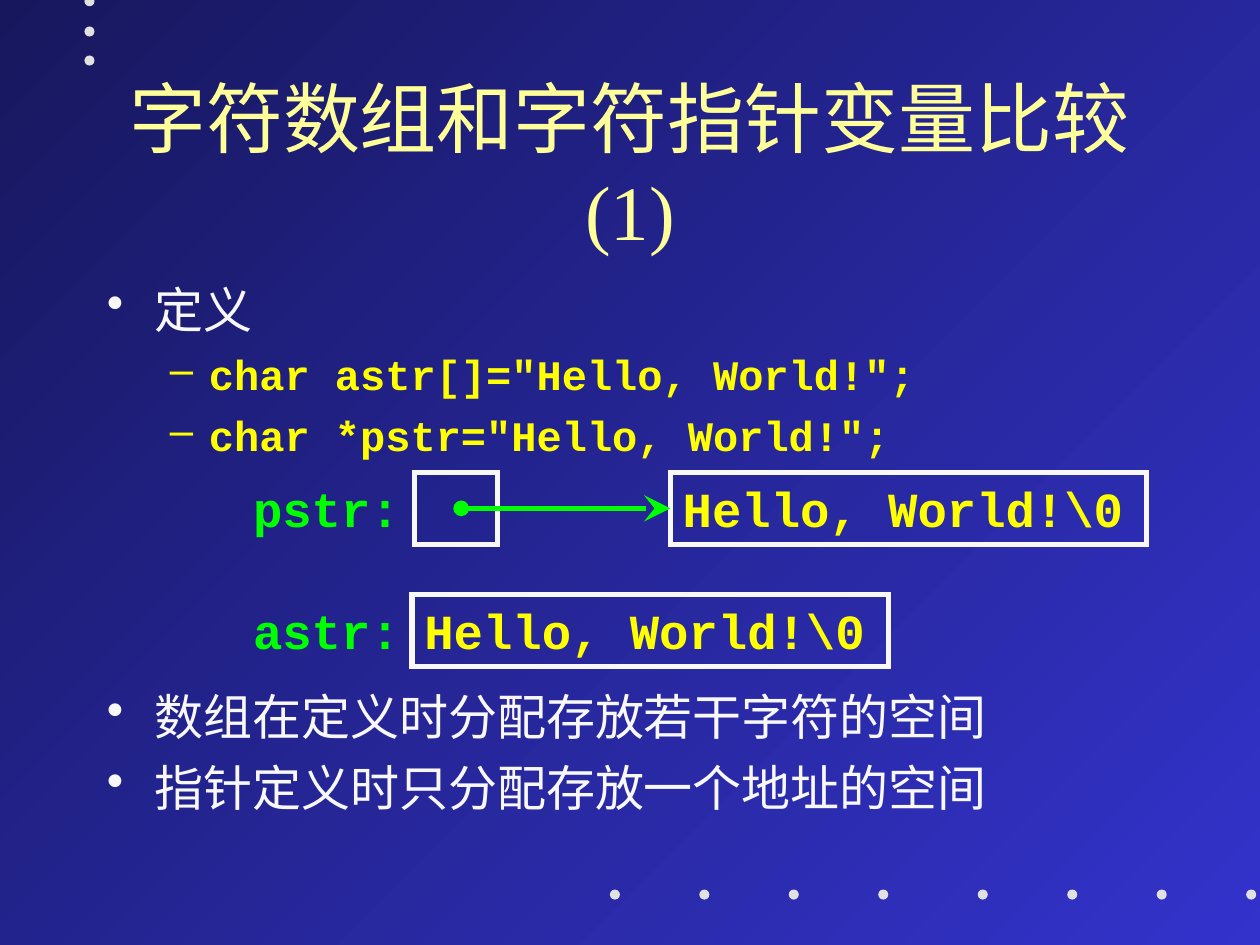
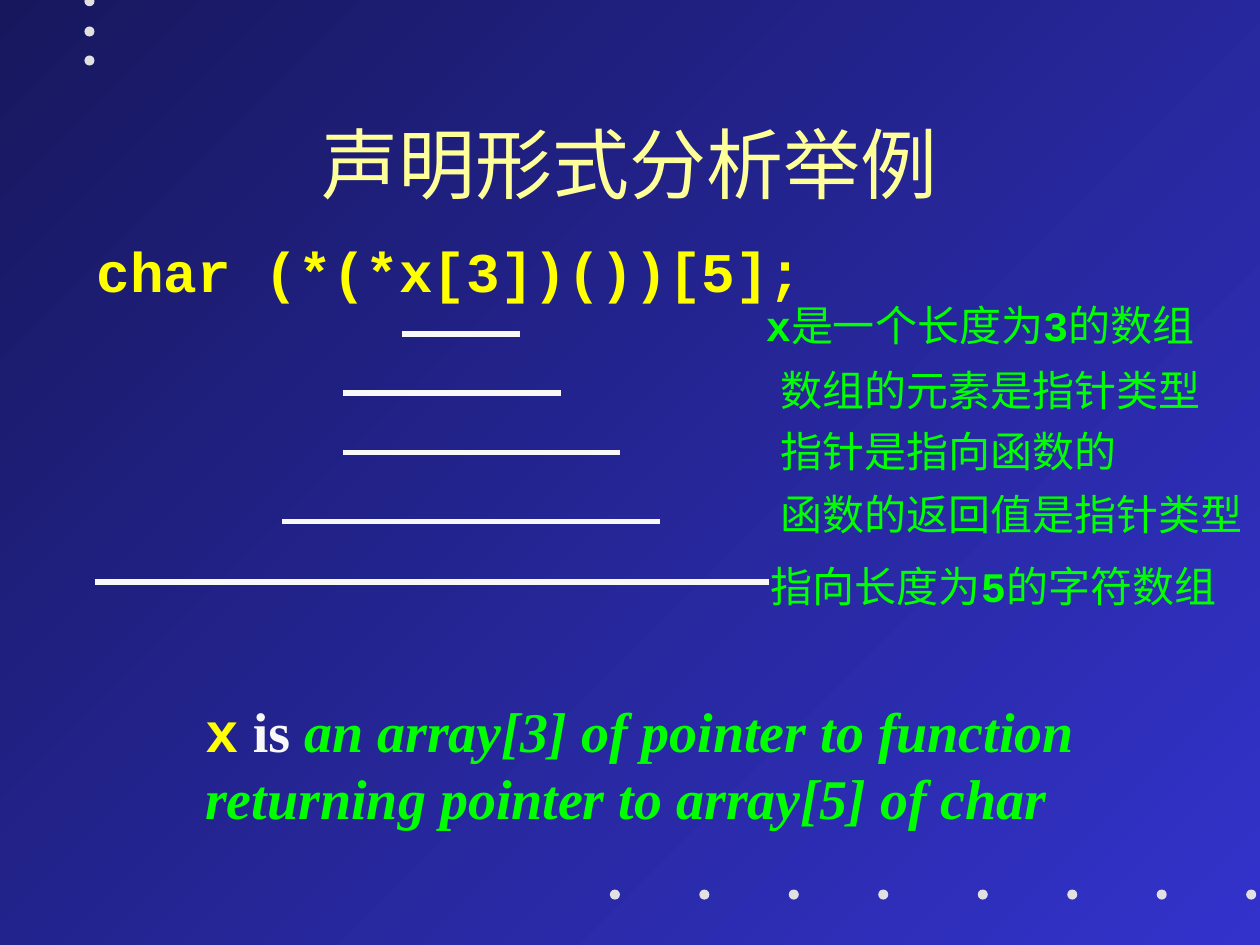
from lxml import etree
from pptx import Presentation
from pptx.dml.color import RGBColor
from pptx.enum.shapes import MSO_CONNECTOR, MSO_SHAPE
from pptx.enum.text import MSO_ANCHOR, MSO_AUTO_SIZE, PP_ALIGN
from pptx.oxml.ns import qn
from pptx.util import Inches, Pt

RECTANGLE, OVAL = MSO_SHAPE.RECTANGLE, MSO_SHAPE.OVAL
STRAIGHT = MSO_CONNECTOR.STRAIGHT
LEFT, CENTER = PP_ALIGN.LEFT, PP_ALIGN.CENTER
TOP, MIDDLE = MSO_ANCHOR.TOP, MSO_ANCHOR.MIDDLE
NO_FIT = MSO_AUTO_SIZE.NONE

BLUE = RGBColor(0x33, 0x33, 0xCC)
NAVY = RGBColor(0x17, 0x17, 0x5E)
GREY = RGBColor(0xE1, 0xE1, 0xE1)
WHITE = RGBColor(0xF8, 0xF8, 0xF8)
CREAM = RGBColor(0xFF, 0xFF, 0x99)
YELLOW = RGBColor(0xFF, 0xFF, 0x00)
GREEN = RGBColor(0x00, 0xFF, 0x00)

SERIF, MONO = "Times New Roman", "Courier New"
TITLE = {"size": Pt(44), "name": SERIF, "color": CREAM}
POINT = {"size": Pt(28), "name": SERIF, "color": WHITE}
CODE = {"size": Pt(24), "name": MONO, "color": YELLOW, "bold": True}
CELL = {**CODE, "size": Pt(28)}
VARIABLE = {**CELL, "color": GREEN}
DECLARATION = {**CODE, "size": Pt(32)}
NOTE = {"size": Pt(24), "name": MONO, "color": GREEN}
NOTE_BOLD = {**NOTE, "bold": True}
READING = {"size": Pt(32), "name": SERIF, "color": WHITE, "bold": True}
READING_GREEN = {**READING, "color": GREEN, "italic": True}

DOT_SIZE = 0.08
DOTS = [(0.67, y) for y in (-0.03, 0.21, 0.44)] + [
    (start + 0.71 * i, 7.06) for start in (4.84, 7.76) for i in range(4)]
ROW_HEIGHT = 0.57


def add_spans(para, spans):
    for text, style in spans:
        span = para.add_run()
        span.text = text
        for key, value in style.items():
            if key == "color":
                span.font.color.rgb = value
            else:
                setattr(span.font, key, value)


def write(frame, paragraphs, **settings):
    """Fill a text frame; each paragraph is a list of (text, style)."""
    for key, value in settings.items():
        setattr(frame, key, value)
    for index, spans in enumerate(paragraphs):
        para = frame.add_paragraph() if index else frame.paragraphs[0]
        para.alignment = LEFT
        add_spans(para, spans)


def add_text(page, box, *paragraphs):
    area = page.shapes.add_textbox(*map(Inches, box))
    write(area.text_frame, paragraphs, word_wrap=True, auto_size=NO_FIT)


def add_frame(page, box, text=""):
    frame = page.shapes.add_shape(RECTANGLE, *map(Inches, box))
    frame.shadow.inherit = False
    frame.fill.background()
    frame.line.color.rgb = WHITE
    frame.line.width = Pt(3)
    etree.SubElement(frame.line._get_or_add_ln(), qn("a:miter"), lim="800000")
    if text:
        write(frame.text_frame, [[(text, CELL)]], vertical_anchor=TOP)
    return frame


def add_line(page, start, end, color, head=None, tail=None):
    """Ends are given as attributes of the arrowhead."""
    line = page.shapes.add_connector(STRAIGHT, *map(Inches, start + end))
    line.line.color.rgb = color
    line.line.width = Pt(3)
    outline = line.line._get_or_add_ln()
    for tag, shape in (("a:headEnd", head), ("a:tailEnd", tail)):
        if shape:
            etree.SubElement(outline, qn(tag), shape)
    etree.SubElement(line._element.spPr, qn("a:effectLst"))
    return line


def set_background(deck):
    fill = deck.slide_master.background.fill
    fill.gradient()
    fill.gradient_angle = 135
    for stop, position, color in zip(fill.gradient_stops, (0, 1), (BLUE, NAVY)):
        stop.position = position
        stop.color.rgb = color


def add_page(deck, title):
    """Title-only page with the shared dots and title style."""
    page = deck.slides.add_slide(deck.slide_layouts[5])
    for x, y in DOTS:
        dot = page.shapes.add_shape(
            OVAL, *map(Inches, (x, y, DOT_SIZE, DOT_SIZE)))
        dot.shadow.inherit = False
        dot.fill.solid()
        dot.fill.fore_color.rgb = GREY
        dot.line.fill.background()
    heading = page.shapes.title
    box = {"left": 0.75, "top": 0.67, "width": 8.5, "height": 1.25}
    for key, value in box.items():
        setattr(heading, key, Inches(value))
    write(heading.text_frame, [[(title, TITLE)]], word_wrap=True,
          auto_size=NO_FIT, vertical_anchor=MIDDLE)
    heading.text_frame.paragraphs[0].alignment = CENTER
    return page


def add_bullets(page, box, items):
    """Items are (text, style, mark, margin, hanging, space before)."""
    area = page.shapes.add_textbox(*map(Inches, box))
    frame = area.text_frame
    write(frame, [[item[:2]] for item in items], word_wrap=True)
    for para, item in zip(frame.paragraphs, items):
        _, style, mark, margin, hanging, space = item
        props = para._p.get_or_add_pPr()
        props.set("marL", str(Inches(margin)))
        props.set("indent", str(-Inches(hanging)))
        color = etree.SubElement(props, qn("a:buClr"))
        etree.SubElement(color, qn("a:srgbClr"), val=str(style["color"]))
        etree.SubElement(props, qn("a:buChar"), char=mark)
        para.space_before = Pt(space)


def add_memory_diagram(page, left, top):
    text = "Hello, World!\\0"
    array_top = top + 0.97
    # Pointer: a cell that points to the text
    target = add_frame(page, (left + 3.41, top, 3.78, ROW_HEIGHT), text)
    add_frame(page, (left + 1.38, top, 0.66, ROW_HEIGHT))
    middle = top + ROW_HEIGHT / 2
    arrow = add_line(page, (left + 1.75, middle), (left + 3.41, middle), GREEN,
                     {"type": "oval"},
                     {"type": "stealth", "w": "lg", "len": "lg"})
    arrow.end_connect(target, 1)
    # Array: the text itself
    add_frame(page, (left + 1.36, array_top, 3.78, ROW_HEIGHT), text)
    for name, y in (("pstr:", top), ("astr:", array_top)):
        add_text(page, (left, y, 1.45, ROW_HEIGHT), [(name, VARIABLE)])


def build_comparison(deck):
    page = add_page(deck, "字符数组和字符指针变量比较 (1)")
    point, code = ("•", 0.38, 0.38), ("–", 0.81, 0.31)
    add_bullets(page, (0.75, 2.17, 8.5, 4.5), [
        ("定义", POINT, *point, 0),
        ('char astr[]="Hello, World!";', CODE, *code, 6),
        ('char *pstr="Hello, World!";', CODE, *code, 6),
        ("数组在定义时分配存放若干字符的空间", POINT, *point, 129),
        ("指针定义时只分配存放一个地址的空间", POINT, *point, 7),
    ])
    add_memory_diagram(page, 1.91, 3.75)


def add_steps(page, left, top):
    """Underline each part of the declaration and explain it."""
    note_width = 3.9
    # Line start, line end, line y, note x, note y, note
    steps = [
        (2.44, 3.38, 0.32, 5.23, 0,
         [("x", NOTE_BOLD), ("是一个长度为", NOTE), ("3", NOTE_BOLD),
          ("的数组", NOTE)]),
        (1.97, 3.7, 0.79, 5.35, 0.51, [("数组的元素是指针类型", NOTE)]),
        (1.97, 4.17, 1.26, 5.35, 1, [("指针是指向函数的", NOTE)]),
        (1.49, 4.49, 1.81, 5.35, 1.5, [("函数的返回值是指针类型", NOTE)]),
        (0, 5.35, 2.29, 5.27, 2.07,
         [("指向长度为", NOTE), ("5", NOTE_BOLD), ("的字符数组", NOTE)]),
    ]
    for start, end, line_y, note_x, note_y, spans in steps:
        y = top + line_y
        add_line(page, (left + start, y), (left + end, y), WHITE)
        add_text(page, (left + note_x, top + note_y, note_width, 0.5), spans)


def build_declaration(deck):
    page = add_page(deck, "声明形式分析举例")
    add_text(page, (0.67, 1.83, 6, 0.64),
             [("char (*(*x[3])())[5];", DECLARATION)])
    add_steps(page, 0.75, 2.33)
    # The declaration read aloud
    add_text(page, (1.53, 5.48, 7.3, 1.17),
             [("x", DECLARATION), (" is ", READING),
              ("an array[3] of pointer to function", READING_GREEN)],
             [("returning pointer to array[5] of char", READING_GREEN)])


def main():
    deck = Presentation()
    deck.slide_width, deck.slide_height = Inches(10), Inches(7.5)
    set_background(deck)
    build_comparison(deck)
    build_declaration(deck)
    deck.save("out.pptx")


if __name__ == "__main__":
    main()
